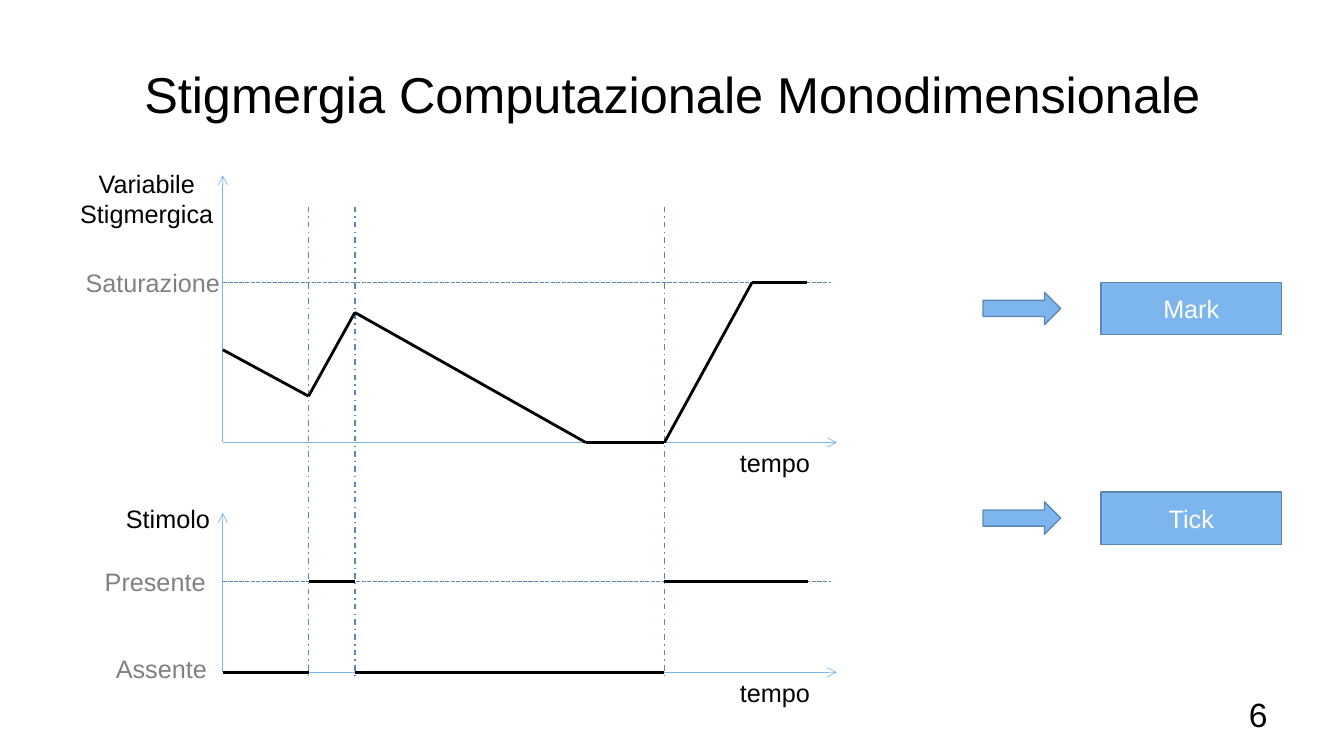
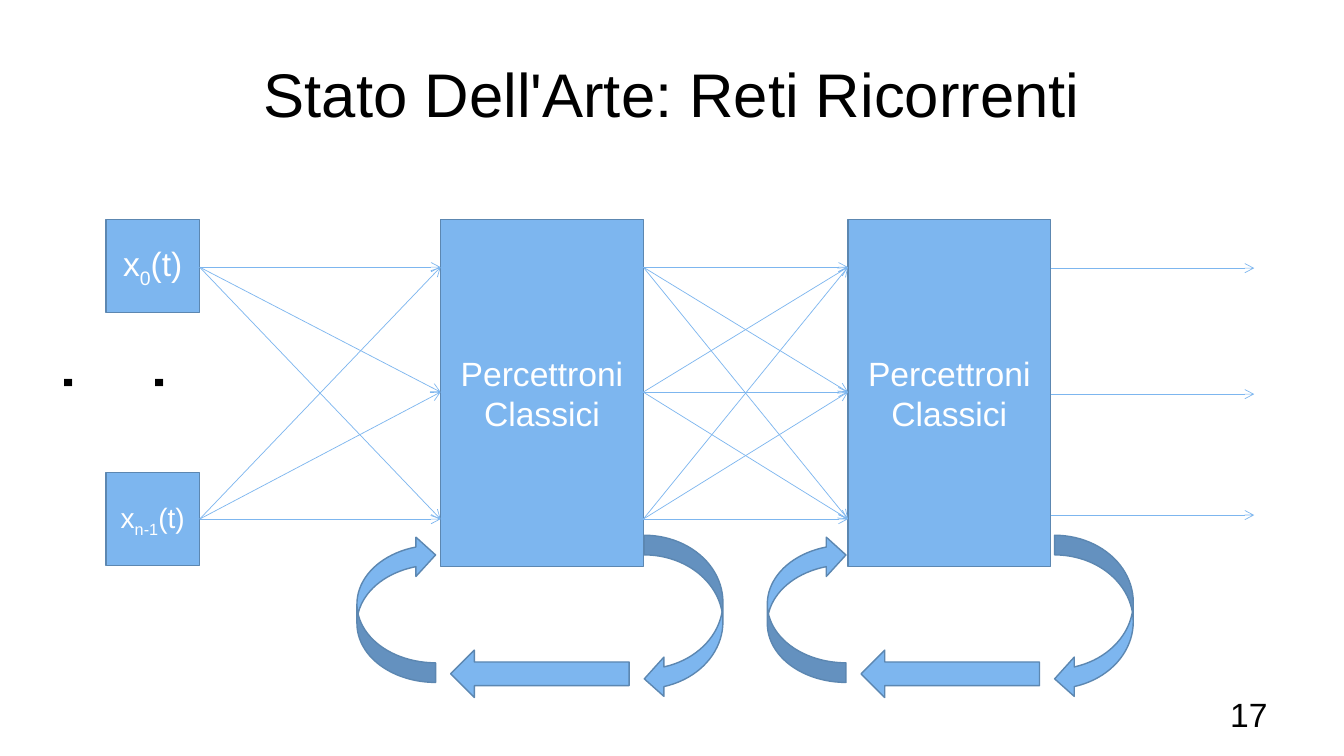
"""Builds two slides on computational stigmergy and recurrent networks."""
from dataclasses import dataclass
from itertools import pairwise, product

from lxml import etree
from pptx import Presentation
from pptx.dml.color import RGBColor
from pptx.enum.dml import MSO_LINE
from pptx.enum.shapes import MSO_CONNECTOR, MSO_SHAPE
from pptx.enum.text import MSO_ANCHOR, MSO_AUTO_SIZE, PP_ALIGN
from pptx.oxml.ns import qn
from pptx.util import Inches, Pt

STRAIGHT = MSO_CONNECTOR.STRAIGHT
RECTANGLE = MSO_SHAPE.RECTANGLE
RIGHT_ARROW = MSO_SHAPE.RIGHT_ARROW
LEFT_ARROW = MSO_SHAPE.LEFT_ARROW
CURVED_ARROW = MSO_SHAPE.CURVED_LEFT_ARROW
SHORT_DASH = MSO_LINE.SQUARE_DOT
DASH_DOT = MSO_LINE.DASH_DOT
TOP, MIDDLE = MSO_ANCHOR.TOP, MSO_ANCHOR.MIDDLE
LEFT, CENTER, RIGHT = PP_ALIGN.LEFT, PP_ALIGN.CENTER, PP_ALIGN.RIGHT
GROW = MSO_AUTO_SIZE.SHAPE_TO_FIT_TEXT
BLANK_LAYOUT = 6


@dataclass(frozen=True)
class Theme:
    """Colours, font and type sizes shared by the slides."""
    font: str = "Arial"
    ink: str = "000000"
    muted: str = "808080"
    light: str = "FFFFFF"
    accent: str = "7DB6EF"
    outline: str = "5C87B1"
    title: int = 44
    long_title: int = 36
    dots: int = 54
    large: int = 24
    medium: int = 20
    label: int = 18


THEME = Theme()


def write_text(shape, text, size=THEME.label, color=THEME.ink, align=LEFT, anchor=TOP):
    """Write newline-separated paragraphs, with subscripts between bars."""
    frame = shape.text_frame
    frame.word_wrap = True
    frame.vertical_anchor = anchor
    for number, line in enumerate(text.split("\n")):
        para = frame.add_paragraph() if number else frame.paragraphs[0]
        para.alignment = align
        for position, part in enumerate(line.split("|")):
            span = para.add_run()
            span.text = part
            span.font.name = THEME.font
            span.font.size = Pt(size)
            span.font.color.rgb = RGBColor.from_string(color)
            if position % 2:
                span.font._element.set("baseline", "-25000")


def add_text(page, text, left, top, width, height, grow=True, **text_format):
    """Add a text box and return it."""
    box = page.shapes.add_textbox(*map(Inches, (left, top, width, height)))
    write_text(box, text, **text_format)
    if grow:
        box.text_frame.auto_size = GROW
    return box


def add_block(page, kind, left, top, width, height, text="", size=THEME.label, rotation=0):
    """Add an accent-coloured preset shape with optional text."""
    block = page.shapes.add_shape(kind, *map(Inches, (left, top, width, height)))
    block.shadow.inherit = False
    block.rotation = rotation
    block.fill.solid()
    block.fill.fore_color.rgb = RGBColor.from_string(THEME.accent)
    block.line.color.rgb = RGBColor.from_string(THEME.outline)
    block.line.width = Pt(1)
    if text:
        write_text(block, text, size=size, color=THEME.light, align=CENTER, anchor=MIDDLE)


def add_line(page, start, end, color=THEME.ink, width=2, dash=None):
    """Add a straight line and return it."""
    line = page.shapes.add_connector(STRAIGHT, *map(Inches, (*start, *end)))
    line.line.color.rgb = RGBColor.from_string(color)
    line.line.width = Pt(width)
    if dash:
        line.line.dash_style = dash
    etree.SubElement(line._element.spPr, qn("a:effectLst"))
    return line


def add_arrow(page, start, end):
    """Add a thin accent line with an open head at its end."""
    arrow = add_line(page, start, end, color=THEME.accent, width=0.5)
    etree.SubElement(arrow.line._get_or_add_ln(), qn("a:tailEnd"), type="arrow")


def add_guide(page, start, end, dash):
    """Add a dashed guide line."""
    add_line(page, start, end, color=THEME.outline, width=1, dash=dash)


def add_page(deck, title, number, title_size):
    """Add a slide with its title and page number."""
    page = deck.slides.add_slide(deck.slide_layouts[BLANK_LAYOUT])
    add_text(page, title, 0.67, 0.3, 12, 1.25, grow=False,
             size=title_size, align=CENTER, anchor=MIDDLE)
    add_text(page, str(number), 9.56, 6.83, 3.11, 0.52, grow=False,
             size=THEME.large, align=RIGHT)
    return page


def add_axes(page, left, top, bottom, right=8.3):
    """Add a vertical axis and a labelled time axis."""
    origin = (left, bottom)
    add_arrow(page, origin, (left, top))
    add_arrow(page, origin, (right, bottom))
    add_text(page, "tempo", 7.24, bottom, 1.06, 0.4)


def build_stigmergy(deck):
    """Plot the stigmergic variable above its stimulus."""
    page = add_page(deck, "Stigmergia Computazionale Monodimensionale", 6, THEME.long_title)
    start, rise, fall, restart = 2.21, 3.06, 3.52, 6.59
    floor, saturation, present, absent = 4.39, 2.8, 5.77, 6.67
    add_axes(page, start, 1.74, floor)
    add_axes(page, start, 5.09, absent)

    add_text(page, "Variabile Stigmergica", 0.57, 1.62, 1.77, 0.71, align=CENTER)
    add_text(page, "Stimolo", 1.15, 4.94, 1.49, 0.4)
    for name, left, top, width in (("Saturazione", 0.75, 2.6, 1.6),
                                   ("Presente", 0.94, 5.57, 1.49),
                                   ("Assente", 1.05, 6.43, 1.49)):
        add_text(page, name, left, top, width, 0.4, color=THEME.muted)

    for level in (saturation, present):
        add_guide(page, (start, level), (8.24, level), SHORT_DASH)
    for moment in (rise, fall, restart):
        add_guide(page, (moment, 2.05), (moment, 6.7), DASH_DOT)

    variable = ((start, 3.47), (rise, 3.93), (fall, 3.1), (5.81, floor),
                (restart, floor), (7.46, saturation), (8, saturation))
    for begin, end in pairwise(variable):
        add_line(page, begin, end)
    moments = (start, rise, fall, restart, 8.01)
    for number, (begin, end) in enumerate(pairwise(moments)):
        level = present if number % 2 else absent
        add_line(page, (begin, level), (end, level))

    for name, top in (("Mark", 2.8), ("Tick", 4.88)):
        add_block(page, RIGHT_ARROW, 9.75, top + 0.1, 0.77, 0.32)
        add_block(page, RECTANGLE, 10.92, top, 1.79, 0.52, name)


def add_feedback(page, layer_left):
    """Add the arrows that loop from a layer's output to its input."""
    add_block(page, CURVED_ARROW, layer_left + 2.03, 5.31, 0.78, 1.62)
    add_block(page, LEFT_ARROW, layer_left + 0.11, 6.45, 1.77, 0.47)
    add_block(page, CURVED_ARROW, layer_left - 0.82, 5.31, 0.78, 1.46, rotation=180)


def build_recurrent(deck):
    """Draw inputs feeding two recurrent perceptron layers."""
    page = add_page(deck, "Stato Dell'Arte: Reti Ricorrenti", 17, THEME.title)
    layers = (4.37, 8.41)
    layer_width = 2.01
    rows = (2.65, 3.89, 5.15)
    first, second = layers

    add_block(page, RECTANGLE, 1.05, 2.18, 0.93, 0.92, "x|0|(t)", THEME.large)
    add_block(page, RECTANGLE, 1.05, 4.69, 0.93, 0.92, "x|n-1|(t)", THEME.medium)
    dots = add_text(page, "...", 1.23, 3.6, 1.11, 0.59, size=THEME.dots)
    dots.text_frame._txBody.bodyPr.set("vert", "eaVert")

    for left in layers:
        add_block(page, RECTANGLE, left, 2.18, layer_width, 3.44,
                  "Percettroni\nClassici", THEME.large)
    for origin, target in product((rows[0], rows[-1]), rows):
        add_arrow(page, (1.98, origin), (first, target))
    for origin, target in product(rows, rows):
        add_arrow(page, (first + layer_width, origin), (second, target))
    for row in (2.66, 3.91, 5.11):
        add_arrow(page, (second + layer_width, row), (12.44, row))
    add_feedback(page, 4.36)
    add_feedback(page, 8.43)


def main():
    """Build and save the deck."""
    deck = Presentation()
    deck.slide_width = Inches(13.33)
    deck.slide_height = Inches(7.5)
    build_stigmergy(deck)
    build_recurrent(deck)
    deck.save("out.pptx")


if __name__ == "__main__":
    main()
